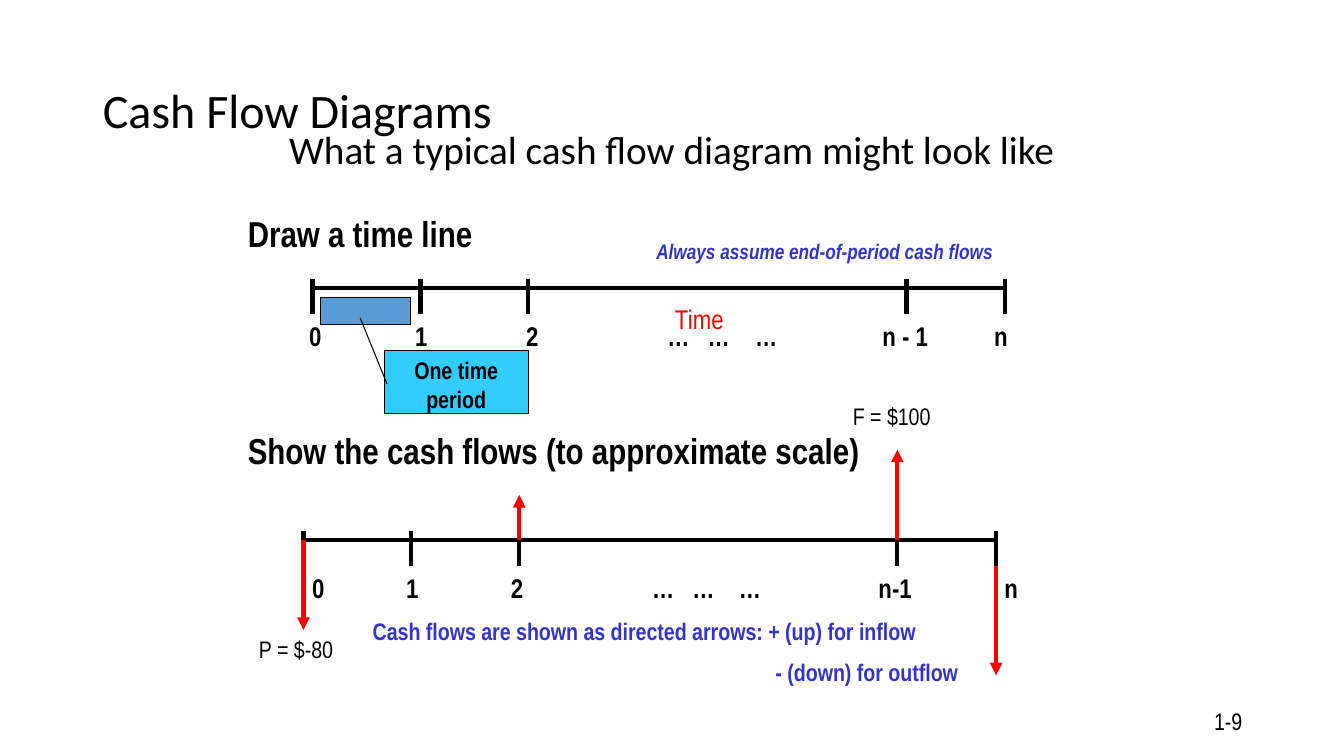
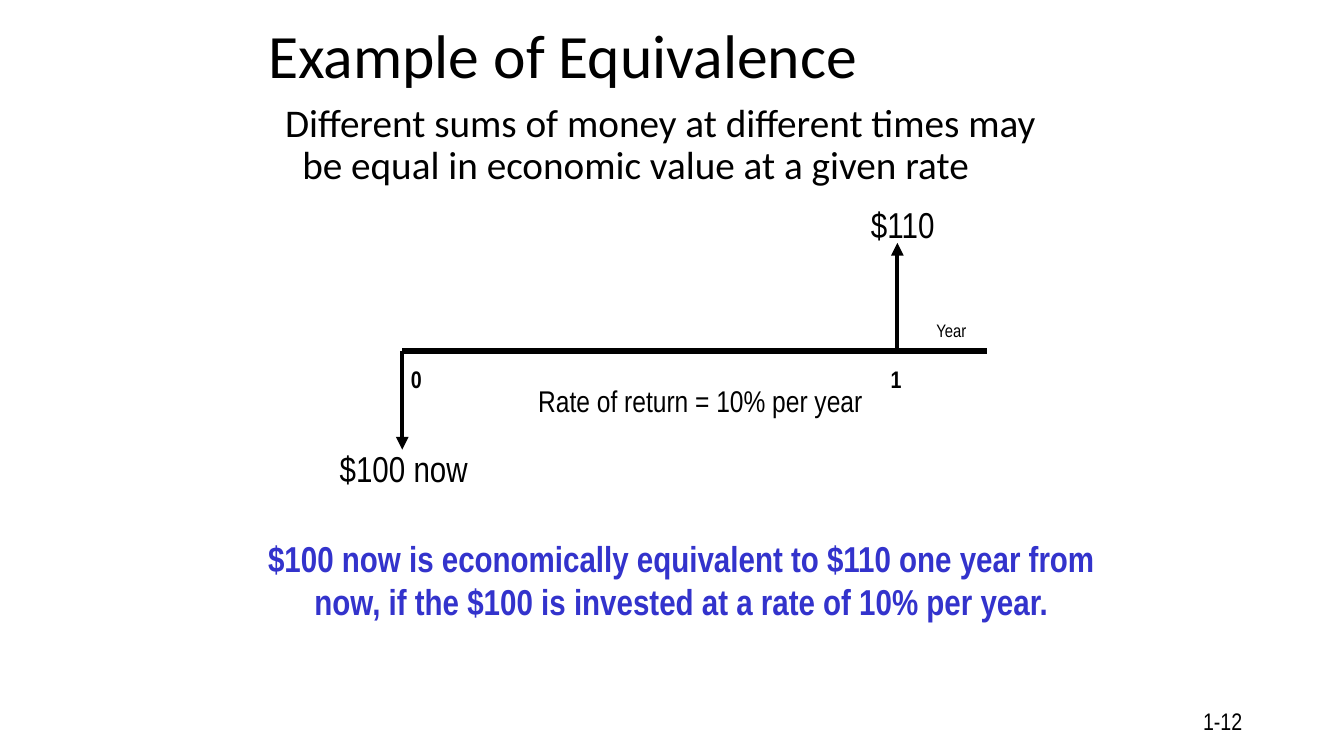
from dataclasses import dataclass

from lxml.etree import SubElement
from pptx import Presentation
from pptx.dml.color import RGBColor
from pptx.enum.shapes import MSO_CONNECTOR, MSO_SHAPE
from pptx.enum.text import MSO_ANCHOR, MSO_AUTO_SIZE, PP_ALIGN
from pptx.oxml.ns import qn
from pptx.util import Inches, Pt


@dataclass(frozen=True)
class Theme:
    """Colours, fonts and type sizes shared by the slides."""
    black: str = "000000"
    red: str = "FF0000"
    blue: str = "3333CC"
    period: str = "5B9BD5"
    callout: str = "33CCFF"
    heading_font: str = "Calibri"
    body_font: str = "Arial Narrow"
    lead: float = 28
    heading: float = 25.7
    rate: float = 21.4
    scale: float = 19.3
    label: float = 17.1
    remark: float = 15
    unit: float = 12.9
    stroke: float = 3
    axis: float = 4.5


theme = Theme()
INSET = 0.1


def write(shape, box, text, size, color=theme.black, bold=False, italic=False,
          font=theme.body_font, align=PP_ALIGN.LEFT, anchor=MSO_ANCHOR.TOP,
          spacing=None, tabs=()):
    """Place a shape and set its text, with optional centred tab stops."""
    shape.left, shape.top, shape.width, shape.height = map(Inches, box)
    frame = shape.text_frame
    frame.text = text
    frame.word_wrap = True
    frame.auto_size = MSO_AUTO_SIZE.NONE
    frame.vertical_anchor = anchor
    for paragraph in frame.paragraphs:
        paragraph.alignment = align
        if spacing:
            paragraph.line_spacing = spacing
        if tabs:
            properties = paragraph._p.get_or_add_pPr()
            tab_list = SubElement(properties, qn("a:tabLst"))
            for position in tabs:
                SubElement(tab_list, qn("a:tab"), pos=str(Inches(position)), algn="ctr")
        for run in paragraph.runs:
            run.font.name, run.font.size = font, Pt(size)
            run.font.bold, run.font.italic = bold, italic
            run.font.color.rgb = RGBColor.from_string(color)
    return frame


def draw_line(slide, start, end, color=theme.black, width=theme.stroke, arrow=False):
    """Draw a straight line, optionally with an arrowhead at its end."""
    line = slide.shapes.add_connector(
        MSO_CONNECTOR.STRAIGHT, *map(Inches, (*start, *end)))
    line.line.color.rgb = RGBColor.from_string(color)
    line.line.width = Pt(width)
    if arrow:
        SubElement(line.line._get_or_add_ln(), qn("a:tailEnd"), type="triangle")
    SubElement(line._element.spPr, qn("a:effectLst"))


presentation = Presentation()
presentation.slide_width, presentation.slide_height = Inches(13.33), Inches(7.5)
title_only = presentation.slide_layouts[5]

# Titles and page numbers
slides = []
for title, box, size, number in (
    ("Cash Flow Diagrams", (0.92, 0.4, 11.5, 1.45), 34.3, "1-9"),
    ("Example of Equivalence", (2.56, 0.18, 8.2, 0.8), 44, "1-12"),
):
    slide = presentation.slides.add_slide(title_only)
    write(slide.shapes.title, box, title, size, font=theme.heading_font,
          anchor=MSO_ANCHOR.MIDDLE, spacing=0.9)
    write(slide.shapes.add_textbox(0, 0, 0, 0), (9.42, 6.95, 3, 0.4), number,
          theme.label, align=PP_ALIGN.RIGHT, anchor=MSO_ANCHOR.MIDDLE)
    slides.append(slide)
diagrams, equivalence = slides

# Cash flow diagrams: two time lines on the same tick grid
write(diagrams.shapes.add_textbox(0, 0, 0, 0), (2.56, 1.25, 8.2, 0.6),
      "What a typical cash flow diagram might look like", theme.lead,
      font=theme.heading_font, align=PP_ALIGN.CENTER, spacing=0.9)
tick_offsets = (0, 1.07, 2.14, 5.89, 6.87)
for left, axis, before_last, centres in (
    (3.1, 2.86, "n - 1", (0.03, 1.08, 2.18, 3.63, 4.03, 4.5, 5.88, 6.83)),
    (3.01, 5.36, "n-1", (0.15, 1.08, 2.12, 3.57, 3.97, 4.43, 5.87, 7.02)),
):
    draw_line(diagrams, (left, axis), (left + tick_offsets[-1], axis))
    for offset in tick_offsets:
        draw_line(diagrams, (left + offset, axis - 0.09), (left + offset, axis + 0.26))
    label_left = left - 0.18
    labels = ("0", "1", "2", "…", "…", "…", before_last, "n")
    write(diagrams.shapes.add_textbox(0, 0, 0, 0),
          (label_left, axis + 0.26, 7.5, 0.43), "\t" + "\t".join(labels),
          theme.scale, bold=True,
          tabs=[left + centre - label_left - INSET for centre in centres])

for text, top in (("Draw a time line", 2.05),
                  ("Show the cash flows (to approximate scale)", 4.2)):
    write(diagrams.shapes.add_textbox(0, 0, 0, 0), (2.36, top, 6.7, 0.53), text,
          theme.heading, bold=True)

period = diagrams.shapes.add_shape(
    MSO_SHAPE.RECTANGLE, *map(Inches, (3.18, 2.95, 0.89, 0.27)))
callout = diagrams.shapes.add_shape(MSO_SHAPE.LINE_CALLOUT_2, 0, 0, 0, 0)
for index, value in enumerate((0.524, 0.017, 0.524, 0.019, -0.526, -0.166)):
    callout.adjustments[index] = value
for shape, fill in ((period, theme.period), (callout, theme.callout)):
    shape.shadow.inherit = False
    shape.fill.solid()
    shape.fill.fore_color.rgb = RGBColor.from_string(fill)
    shape.line.color.rgb = RGBColor.from_string(theme.black)
    shape.line.width = Pt(0.75)
write(callout, (3.81, 3.48, 1.43, 0.62), "One time period", theme.label,
      bold=True, align=PP_ALIGN.CENTER)

for x, start, end in ((3.01, 5.36, 6.25), (5.15, 5.36, 4.91),
                      (8.9, 5.36, 4.46), (9.88, 5.62, 6.7)):
    draw_line(diagrams, (x, start), (x, end), theme.red, arrow=True)

directions = write(
    diagrams.shapes.add_textbox(0, 0, 0, 0), (3.18, 6.07, 6.42, 0.82),
    "Cash flows are shown as directed arrows: + (up) for inflow\n- (down) for outflow",
    theme.label, theme.blue, bold=True, align=PP_ALIGN.CENTER)
directions.paragraphs[1].alignment = PP_ALIGN.RIGHT
directions.paragraphs[1].space_before = Pt(theme.label / 2)
write(diagrams.shapes.add_textbox(0, 0, 0, 0), (5.77, 2.32, 4.82, 0.35),
      "Always assume end-of-period cash flows", theme.remark, theme.blue,
      bold=True, italic=True, align=PP_ALIGN.CENTER)
write(diagrams.shapes.add_textbox(0, 0, 0, 0), (6.49, 2.95, 0.89, 0.43), "Time",
      theme.scale, theme.red, align=PP_ALIGN.CENTER)
for text, left, top in (("F = $100", 8.36, 3.93), ("P = $-80", 2.47, 6.25)):
    write(diagrams.shapes.add_textbox(0, 0, 0, 0), (left, top, 1.07, 0.39), text,
          theme.label)

# Example of equivalence
statement = write(
    equivalence.shapes.add_textbox(0, 0, 0, 0), (2.65, 0.98, 8.2, 1.07),
    "Different sums of money at different times may be equal in economic value "
    "at a given rate", theme.lead, font=theme.heading_font, spacing=0.9)
hanging = statement.paragraphs[0]._p.get_or_add_pPr()
hanging.set("marL", str(Inches(0.25)))
hanging.set("indent", str(Inches(-0.17)))

now, next_year, axis = 3.99, 8.9, 3.48
draw_line(equivalence, (now, axis), (9.79, axis), width=theme.axis)
for x, end in ((now, 4.46), (next_year, 2.41)):
    draw_line(equivalence, (x, axis), (x, end), arrow=True)
write(equivalence.shapes.add_textbox(0, 0, 0, 0), (3.81, 3.57, 5.54, 0.39),
      "\t0\t1", theme.label, bold=True, tabs=(0.22, 4.98))

for text, box, size in (
    ("$100 now", (3.27, 4.38, 1.88, 0.53), theme.heading),
    ("$110", (8.54, 1.96, 0.89, 0.53), theme.heading),
    ("Rate of return = 10% per year", (5.24, 3.75, 3.57, 0.46), theme.rate),
):
    write(equivalence.shapes.add_textbox(0, 0, 0, 0), box, text, size)
write(equivalence.shapes.add_textbox(0, 0, 0, 0), (2.2, 5.27, 9.11, 0.97),
      "$100 now is economically equivalent to $110 one year from now, "
      "if the $100 is invested at a rate of 10% per year.",
      theme.heading, theme.blue, bold=True, align=PP_ALIGN.CENTER)
write(equivalence.shapes.add_textbox(0, 0, 0, 0), (9.08, 3.12, 0.71, 0.32), "Year",
      theme.unit, align=PP_ALIGN.CENTER)

presentation.save("out.pptx")
